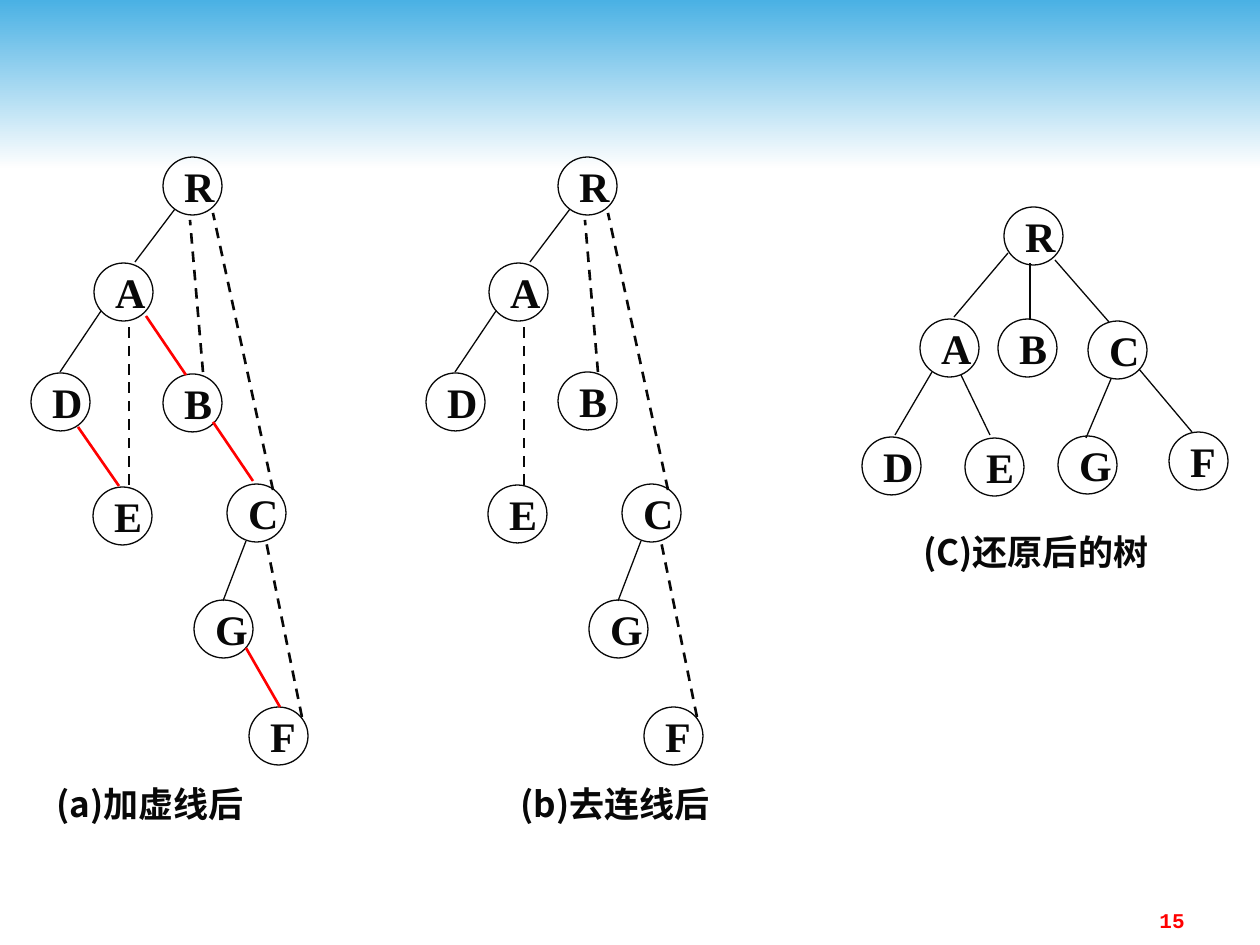
from pptx import Presentation
from pptx import util as u
from pptx.dml.color import RGBColor
from pptx.enum import dml, shapes, text
from pptx.oxml.ns import qn
from lxml import etree

PX = 914400 / 126
INK = RGBColor(0x08, 0x08, 0x08)
RED = RGBColor(0xFF, 0x00, 0x00)
SKY = RGBColor(0x4A, 0xB1, 0xE4)
PALE = RGBColor(0xFE, 0xFE, 0xFE)
NODE_SIZE = (59, 58)

LETTER = {"name": "Times New Roman", "size": u.Pt(24), "bold": True}
CAPTION = {"name": "Noto Sans CJK SC", "size": u.Pt(20), "bold": True}
PAGE = {"name": "Courier New", "size": u.Pt(12), "bold": True}

BRANCH = (INK, 0.75, None)
SIBLING = (RED, 1.5, None)
DASHED = (INK, 1.5, dml.MSO_LINE.DASH)

BINARY_NODES = {"F": (218, 550), "G": (163, 443), "R": (132, 0), "A": (63, 106),
                "C": (196, 327), "D": (0, 216), "B": (132, 215), "E": (62, 328)}
LINKED_NODES = BINARY_NODES | {"B": (132, 217), "E": (62, 330)}
BINARY_BRANCHES = [(144, 52, 104, 105), (70, 154, 29, 215), (215, 384, 192, 444)]
SIBLING_LINKS = [(115, 159, 155, 218), (215, 491, 249, 550),
                 (182, 265, 222, 324), (47, 270, 88, 329)]
PARENT_LINKS = [(172, 215, 159, 63), (242, 333, 182, 56),
                (98, 328, 98, 164), (271, 560, 235, 384)]
TREE_NODES = {"F": (307, 225), "G": (196, 229), "R": (142, 0), "A": (58, 112),
              "B": (136, 112), "C": (226, 114), "D": (0, 230), "E": (103, 231)}
TREE_BRANCHES = [(146, 46, 92, 110), (168, 56, 168, 112), (193, 53, 247, 115),
                 (70, 165, 33, 228), (99, 168, 128, 228),
                 (277, 162, 330, 225), (249, 172, 224, 231)]


def emu(*lengths):
    return [round(length * PX) for length in lengths]


def write(shape, words, font_format, color=INK, align=text.PP_ALIGN.LEFT,
          anchor=text.MSO_ANCHOR.MIDDLE, wrap=False):
    frame = shape.text_frame
    frame.word_wrap = wrap
    frame.vertical_anchor = anchor
    paragraph = frame.paragraphs[0]
    paragraph.alignment = align
    run = paragraph.add_run()
    run.text = words
    for key, value in font_format.items():
        setattr(run.font, key, value)
    run.font.color.rgb = color
    east_asian = etree.SubElement(run.font._element, qn("a:ea"))
    east_asian.set("typeface", font_format["name"])


def add_node(slide, letter, x, y):
    node = slide.shapes.add_shape(shapes.MSO_SHAPE.OVAL, *emu(x, y, *NODE_SIZE))
    node.shadow.inherit = False
    node.fill.background()
    node.line.color.rgb = INK
    node.line.width = u.Pt(0.75)
    write(node, letter, LETTER)


def add_edge(slide, ends, style):
    color, width, dash = style
    edge = slide.shapes.add_connector(shapes.MSO_CONNECTOR.STRAIGHT, *emu(*ends))
    edge.line.color.rgb = color
    edge.line.width = u.Pt(width)
    if dash:
        edge.line.dash_style = dash
    etree.SubElement(edge._element.spPr, qn("a:effectLst"))


def draw_tree(slide, left, top, nodes, edge_groups, caption, caption_box):
    x, y, width, height = caption_box
    title = slide.shapes.add_textbox(*emu(left + x, top + y, width, height))
    write(title, caption, CAPTION)
    for letter, (x, y) in nodes.items():
        add_node(slide, letter, left + x, top + y)
    for style, edges in edge_groups:
        for x1, y1, x2, y2 in edges:
            add_edge(slide, (left + x1, top + y1, left + x2, top + y2), style)


def draw_banner(slide, left, top, width, height):
    banner = slide.shapes.add_shape(shapes.MSO_SHAPE.RECTANGLE,
                                    *emu(left, top, width, height))
    banner.shadow.inherit = False
    banner.line.fill.background()
    banner.fill.gradient()
    banner.fill.gradient_angle = 270
    for stop, position, color in zip(banner.fill.gradient_stops, (0, 1), (SKY, PALE)):
        stop.position = position
        stop.color.rgb = color


def draw_page_number(slide, left, top, width, height):
    number = slide.shapes.add_textbox(*emu(left, top, width, height))
    write(number, "15", PAGE, RED, text.PP_ALIGN.RIGHT, text.MSO_ANCHOR.TOP, True)


def main():
    deck = Presentation()
    deck.slide_width, deck.slide_height = emu(1260, 945)
    slide = deck.slides.add_slide(deck.slide_layouts[6])
    draw_banner(slide, 0, 0, 1260, 168)
    draw_tree(slide, 862, 207, TREE_NODES, [(BRANCH, TREE_BRANCHES)],
              "(C)还原后的树", (49, 315, 318, 59))
    draw_tree(slide, 31, 157, LINKED_NODES,
              [(BRANCH, BINARY_BRANCHES), (SIBLING, SIBLING_LINKS), (DASHED, PARENT_LINKS)],
              "(a)加虚线后", (13, 619, 256, 54))
    draw_tree(slide, 426, 157, BINARY_NODES,
              [(BRANCH, BINARY_BRANCHES), (DASHED, PARENT_LINKS)],
              "(b)去连线后", (82, 619, 287, 54))
    draw_page_number(slide, 903, 901, 294, 34)
    deck.save("out.pptx")


if __name__ == "__main__":
    main()
